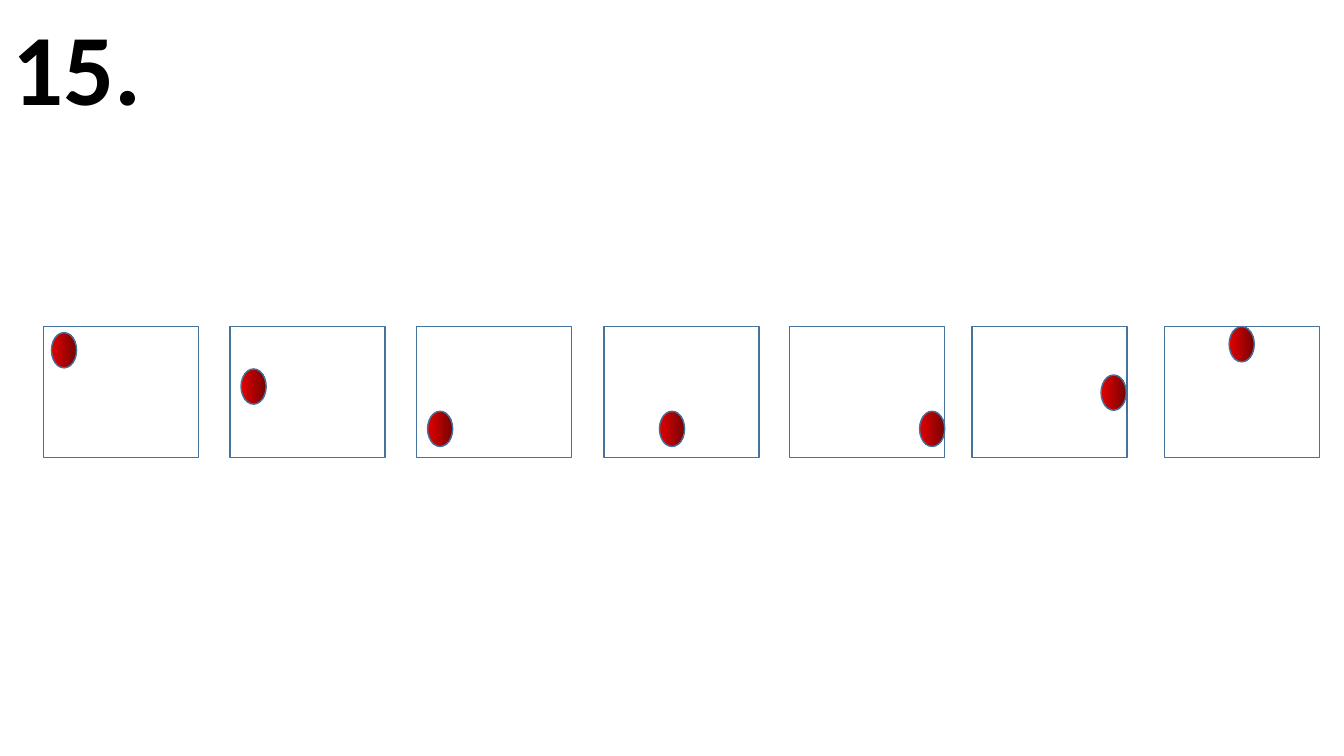
from pptx import Presentation
from pptx.dml.color import RGBColor
from pptx.enum.shapes import MSO_SHAPE
from pptx.enum.text import MSO_AUTO_SIZE, PP_ALIGN
from pptx.util import Emu, Pt

PX = 9144  # 100 px to the inch
COLORS = {
    "frame": "FFFFFF",
    "outline": "43739E",
    "ball_light": "E30000",
    "ball_dark": "760303",
    "number": "000000",
}
FRAME_TOP, FRAME_WIDTH, FRAME_HEIGHT = 324, 154, 130
BALL_WIDTH, BALL_HEIGHT = 25, 35

# Left edge of each frame, then the ball's offset inside it
STEPS = [
    (43, 8, 6),
    (228, 11, 42),
    (413, 11, 84),
    (599, 55, 84),
    (783, 129, 84),
    (964, 128, 48),
    (1155, 64, 0),
]


def px(length):
    return Emu(length * PX)


def color(name):
    return RGBColor.from_string(COLORS[name])


def write(text_frame, text, *, size, ink, bold=False, align=PP_ALIGN.LEFT, font="Calibri"):
    paragraph = text_frame.paragraphs[0]
    paragraph.alignment = align
    run = paragraph.add_run()
    run.text = text
    run.font.name = font
    run.font.size = Pt(size)
    run.font.bold = bold
    run.font.color.rgb = color(ink)


class SlideBuilder:
    def __init__(self, slide, outline="outline", line_width=1):
        self.slide = slide
        self.outline = outline
        self.line_width = line_width

    def outlined(self, preset, left, top, width, height):
        """Add a preset shape with the common outline and no shadow."""
        shape = self.slide.shapes.add_shape(preset, px(left), px(top), px(width), px(height))
        shape.shadow.inherit = False
        shape.line.color.rgb = color(self.outline)
        shape.line.width = Pt(self.line_width)
        return shape

    def frame(self, left):
        frame = self.outlined(MSO_SHAPE.RECTANGLE, left, FRAME_TOP, FRAME_WIDTH, FRAME_HEIGHT)
        frame.fill.solid()
        frame.fill.fore_color.rgb = color("frame")

    def ball(self, left, top):
        ball = self.outlined(MSO_SHAPE.OVAL, left, top, BALL_WIDTH, BALL_HEIGHT)
        ball.fill.gradient()
        ball.fill.gradient_angle = 0
        for stop, name in zip(ball.fill.gradient_stops, ("ball_light", "ball_dark")):
            stop.color.rgb = color(name)

    def label(self, text, left, top, width, height, **style):
        label = self.slide.shapes.add_textbox(px(left), px(top), px(width), px(height))
        label.text_frame.word_wrap = False
        label.text_frame.auto_size = MSO_AUTO_SIZE.SHAPE_TO_FIT_TEXT
        write(label.text_frame, text, **style)


def main():
    deck = Presentation()
    deck.slide_width, deck.slide_height = px(1333), px(750)
    builder = SlideBuilder(deck.slides.add_slide(deck.slide_layouts[6]))

    for frame_left, _, _ in STEPS:
        builder.frame(frame_left)
    builder.label("15.", 2, 0, 148, 131, size=72, ink="number", bold=True, align=PP_ALIGN.CENTER)
    for frame_left, ball_x, ball_y in STEPS:
        builder.ball(frame_left + ball_x, FRAME_TOP + ball_y)

    deck.save("out.pptx")


if __name__ == "__main__":
    main()
